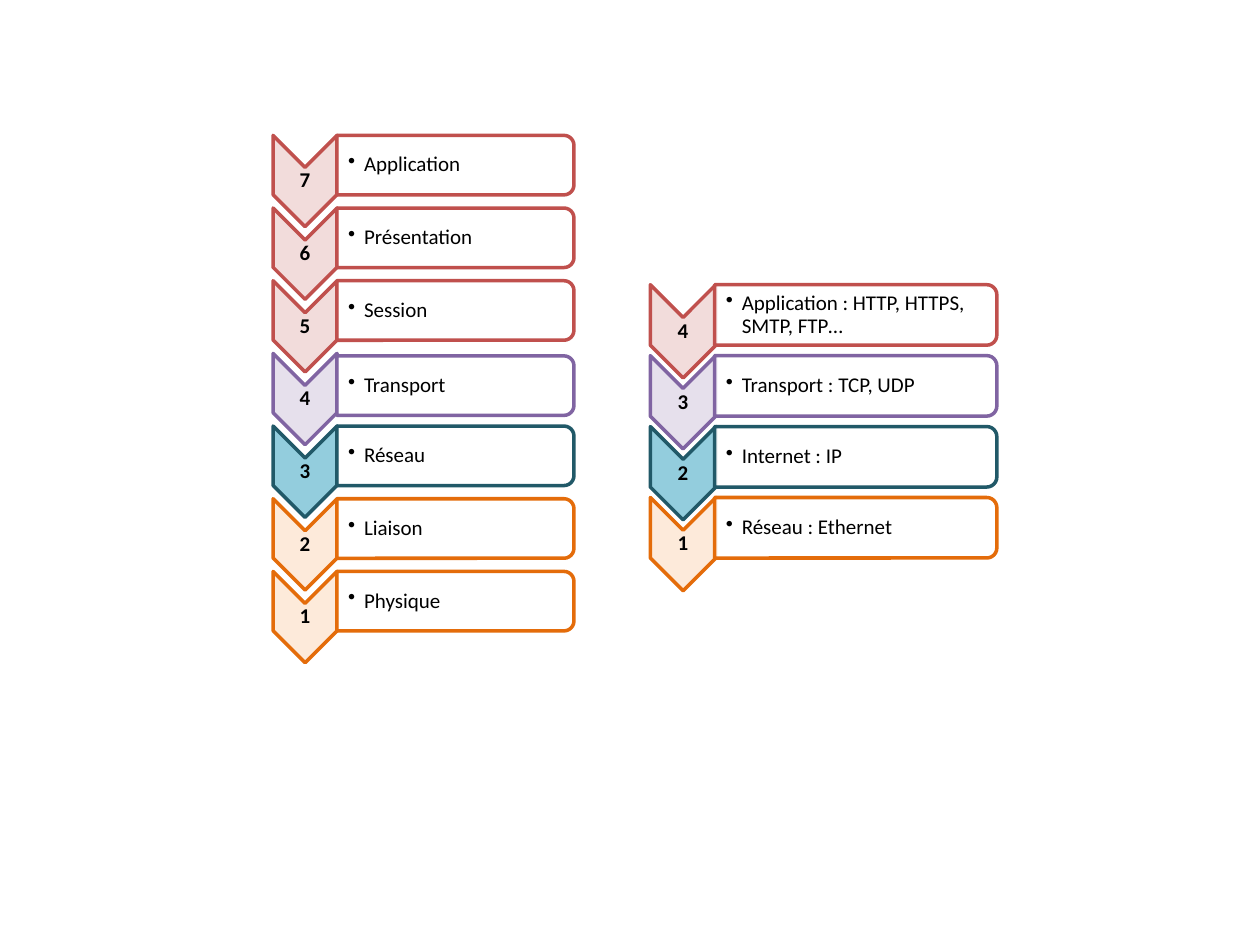
"""Build a slide comparing the seven OSI layers with the four TCP/IP layers."""
import pptx
import pptx.util
import pptx.dml.color
import pptx.enum.shapes
import pptx.enum.text
from lxml import etree

Cm, Pt = pptx.util.Cm, pptx.util.Pt
RGB = pptx.dml.color.RGBColor.from_string
MSO = pptx.enum.shapes.MSO_SHAPE
A = "{http://schemas.openxmlformats.org/drawingml/2006/main}"

COLORS = {
    "text": "000000", "body": "FFFFFF",
    "application": "F2DCDB", "application_line": "C0504D",
    "transport": "E6E0EC", "transport_line": "8064A2",
    "internet": "93CDDD", "internet_line": "215968",
    "network": "FDEADA", "network_line": "E46C0A",
}

STACKS = [
    {"chevron": (6.15, 3.65, 1.84, 1.29), "body": (9.18, 3.33, 1.2, 4.78),
     "pitch": 1.465, "text_height": 1.09,
     "layers": [("Application", "application", 0), ("Présentation", "application", 0),
                ("Session", "application", 0), ("Transport", "transport", 0.05),
                ("Réseau", "internet", 0), ("Liaison", "network", 0),
                ("Physique", "network", 0)]},
    {"chevron": (13.77, 6.68, 1.88, 1.32), "body": (17.25, 6.35, 1.22, 5.69),
     "pitch": 1.43, "text_height": 1.12,
     "layers": [("Application : HTTP, HTTPS, SMTP, FTP…", "application", 0),
                ("Transport : TCP, UDP", "transport", 0),
                ("Internet : IP", "internet", 0),
                ("Réseau : Ethernet", "network", 0)]},
]


def add_turned(group, kind, cx, cy, width, height, fill, line):
    sp = group.shapes.add_shape(kind, Cm(cx - width / 2), Cm(cy - height / 2),
                                Cm(width), Cm(height))
    sp.rotation = 90
    sp.shadow.inherit = False
    sp.fill.solid()
    sp.fill.fore_color.rgb = RGB(COLORS[fill])
    sp.line.color.rgb = RGB(COLORS[line])
    sp.line.width = Pt(2)
    return sp


def add_label(group, text, left, cy, width, height, inset):
    sp = group.shapes.add_textbox(Cm(left), Cm(cy - height / 2), Cm(width), Cm(height))
    tf = sp.text_frame
    tf.word_wrap = True
    tf.vertical_anchor = pptx.enum.text.MSO_ANCHOR.MIDDLE
    tf.margin_left = Cm(inset)
    tf.margin_top = tf.margin_right = tf.margin_bottom = Cm(0.03)
    tf.text = text
    p = tf.paragraphs[0]
    p.line_spacing = 0.9
    font = p.runs[0].font
    font.name, font.size = "Calibri", Pt(12)
    font.color.rgb = RGB(COLORS["text"])
    return p


prs = pptx.Presentation()
prs.slide_width, prs.slide_height = Cm(25.4), Cm(19.05)
s = prs.slides.add_slide(prs.slide_layouts[6])

for stack in STACKS:
    group = s.shapes.add_group_shape()
    chevron_x, chevron_y, chevron_w, chevron_h = stack["chevron"]
    body_x, body_y, body_w, body_h = stack["body"]
    count = len(stack["layers"])

    for i, (name, color, shift) in enumerate(stack["layers"]):
        cy = chevron_y + i * stack["pitch"]
        add_turned(group, MSO.CHEVRON, chevron_x, cy, chevron_w, chevron_h,
                   color, color + "_line")
        p = add_label(group, str(count - i), chevron_x - chevron_h / 2, cy,
                      chevron_h, 0.56, 0.03)
        p.alignment = pptx.enum.text.PP_ALIGN.CENTER
        p.runs[0].font.bold = True

        cy = body_y + i * stack["pitch"] + shift
        sp = add_turned(group, MSO.ROUND_2_SAME_RECTANGLE, body_x, cy, body_w, body_h,
                        "body", color + "_line")
        fill_color = sp.fill._xPr.find(f"{A}solidFill/{A}srgbClr")
        etree.SubElement(fill_color, A + "alpha", val="90000")
        p = add_label(group, name, body_x - body_h / 2, cy, body_h - 0.06,
                      stack["text_height"], 0.23)
        p.level = 1
        pPr = p._p.get_or_add_pPr()
        pPr.set("marL", str(Cm(0.32)))
        pPr.set("indent", str(-Cm(0.32)))
        etree.SubElement(pPr, A + "buChar", char="•")

prs.save("out.pptx")
